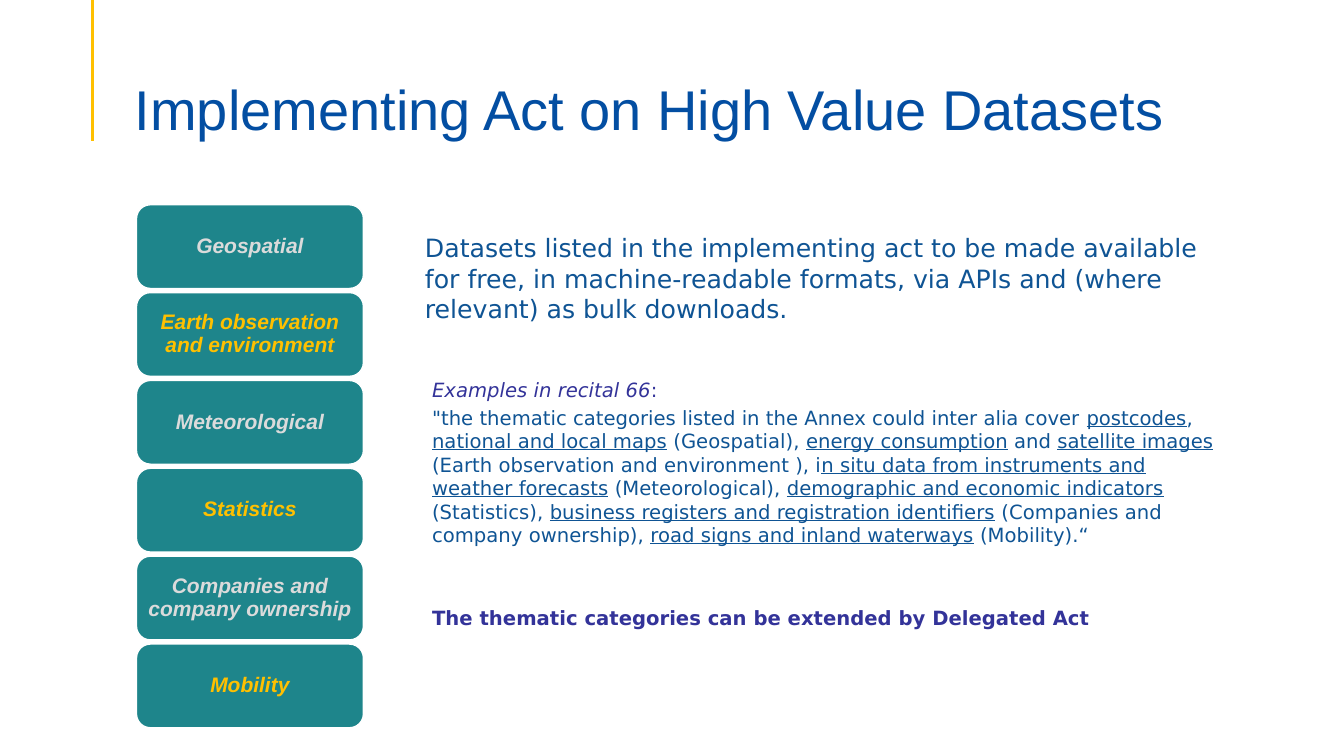
from lxml.etree import SubElement
from pptx import Presentation
from pptx.dml.color import RGBColor
from pptx.enum.shapes import MSO_CONNECTOR, MSO_SHAPE
from pptx.enum.text import MSO_ANCHOR, MSO_AUTO_SIZE, PP_ALIGN
from pptx.oxml.ns import qn
from pptx.util import Cm, Pt

WHITE = RGBColor(0xFF, 0xFF, 0xFF)
TEAL = RGBColor(0x1E, 0x85, 0x8B)
GOLD = RGBColor(0xFF, 0xC0, 0x00)
SILVER = RGBColor(0xDB, 0xDB, 0xDB)
TITLE_BLUE = RGBColor(0x03, 0x4E, 0xA2)
BODY_BLUE = RGBColor(0x0F, 0x54, 0x94)
INDIGO = RGBColor(0x33, 0x33, 0x99)

HEADING_FONT = "Arial"
BODY_FONT = "DejaVu Sans"

CATEGORIES = [
    "Geospatial",
    "Earth observation and environment",
    "Meteorological",
    "Statistics",
    "Companies and company ownership",
    "Mobility",
]
SUMMARY = (
    "Datasets listed in the implementing act to be made available for free, "
    "in machine-readable formats, via APIs and (where relevant) as bulk downloads."
)
RECITAL = (
    '"the thematic categories listed in the Annex could inter alia cover _postcodes_, '
    "_national and local maps_ (Geospatial), _energy consumption_ and _satellite images_ "
    "(Earth observation and environment ), i_n situ data from instruments and weather "
    "forecasts_ (Meteorological), _demographic and economic indicators_ (Statistics), "
    "_business registers and registration identifiers_ (Companies and company ownership), "
    "_road signs and inland waterways_ (Mobility).“"
)


def write_text(paragraph, text, font=BODY_FONT, size=14, color=BODY_BLUE, bold=False, italic=False):
    for index, part in enumerate(text.split("_")):
        run = paragraph.add_run()
        run.text = part
        run.font.name = font
        run.font.size = Pt(size)
        run.font.color.rgb = color
        run.font.bold = bold
        run.font.italic = italic
        run.font.underline = index % 2 == 1


def add_text_frame(slide, left, top, width, height):
    frame = slide.shapes.add_textbox(Cm(left), Cm(top), Cm(width), Cm(height)).text_frame
    frame.word_wrap = True
    return frame


def add_title(slide, left, top, width, height):
    line_x = Cm(left - 0.81)
    line = slide.shapes.add_connector(MSO_CONNECTOR.STRAIGHT, line_x, 0, line_x, Cm(top + height - 0.03))
    line.line.color.rgb = GOLD
    line.line.width = Pt(2.25)
    SubElement(line._element.spPr, qn("a:effectLst"))

    frame = add_text_frame(slide, left, top, width, height)
    frame.vertical_anchor = MSO_ANCHOR.BOTTOM
    frame.margin_bottom = 0
    paragraph = frame.paragraphs[0]
    paragraph.line_spacing = 0.9
    write_text(paragraph, "Implementing Act on High Value Datasets",
               font=HEADING_FONT, size=40, color=TITLE_BLUE)


def add_categories(slide, left, top, width, height):
    button_height = 2.11
    pitch = (height - button_height) / (len(CATEGORIES) - 1)
    for index, category in enumerate(CATEGORIES):
        button = slide.shapes.add_shape(
            MSO_SHAPE.ROUNDED_RECTANGLE,
            Cm(left), Cm(top + index * pitch), Cm(width), Cm(button_height))
        button.shadow.inherit = False
        button.fill.solid()
        button.fill.fore_color.rgb = TEAL
        button.line.color.rgb = WHITE
        button.line.width = Pt(1)
        frame = button.text_frame
        frame.word_wrap = True
        frame.vertical_anchor = MSO_ANCHOR.MIDDLE
        frame.margin_left = frame.margin_right = Cm(0.15)
        frame.margin_top = frame.margin_bottom = Cm(0.08)
        paragraph = frame.paragraphs[0]
        paragraph.alignment = PP_ALIGN.CENTER
        paragraph.line_spacing = 0.9
        write_text(paragraph, category, font=HEADING_FONT, size=15,
                   color=GOLD if index % 2 else SILVER, bold=True, italic=True)


def add_summary(slide, left, top, width, height):
    frame = add_text_frame(slide, left, top, width, height)
    frame.auto_size = MSO_AUTO_SIZE.SHAPE_TO_FIT_TEXT
    write_text(frame.paragraphs[0], SUMMARY, size=18)


def add_examples(slide, left, top, width, height):
    frame = add_text_frame(slide, left, top, width, height)
    frame.auto_size = MSO_AUTO_SIZE.SHAPE_TO_FIT_TEXT
    heading = frame.paragraphs[0]
    heading.space_before = Pt(3)
    write_text(heading, "Examples in recital 66", color=INDIGO, italic=True)
    write_text(heading, ":", color=INDIGO)
    quotation = frame.add_paragraph()
    quotation.space_before = Pt(3)
    write_text(quotation, RECITAL)
    conclusion = frame.add_paragraph()
    conclusion.space_before = Pt(42)
    write_text(conclusion, "The thematic categories can be extended by Delegated Act",
               color=INDIGO, bold=True)


def main():
    presentation = Presentation()
    presentation.slide_width = Cm(33.87)
    presentation.slide_height = Cm(19.05)
    slide = presentation.slides.add_slide(presentation.slide_layouts[6])
    add_title(slide, 3.15, 1.63, 28.04, 1.96)
    add_categories(slide, 3.44, 5.16, 5.72, 13.18)
    add_examples(slide, 10.64, 9.4, 20.55, 6.73)
    add_summary(slide, 10.46, 5.74, 20.9, 2.57)
    presentation.save("out.pptx")


if __name__ == "__main__":
    main()
